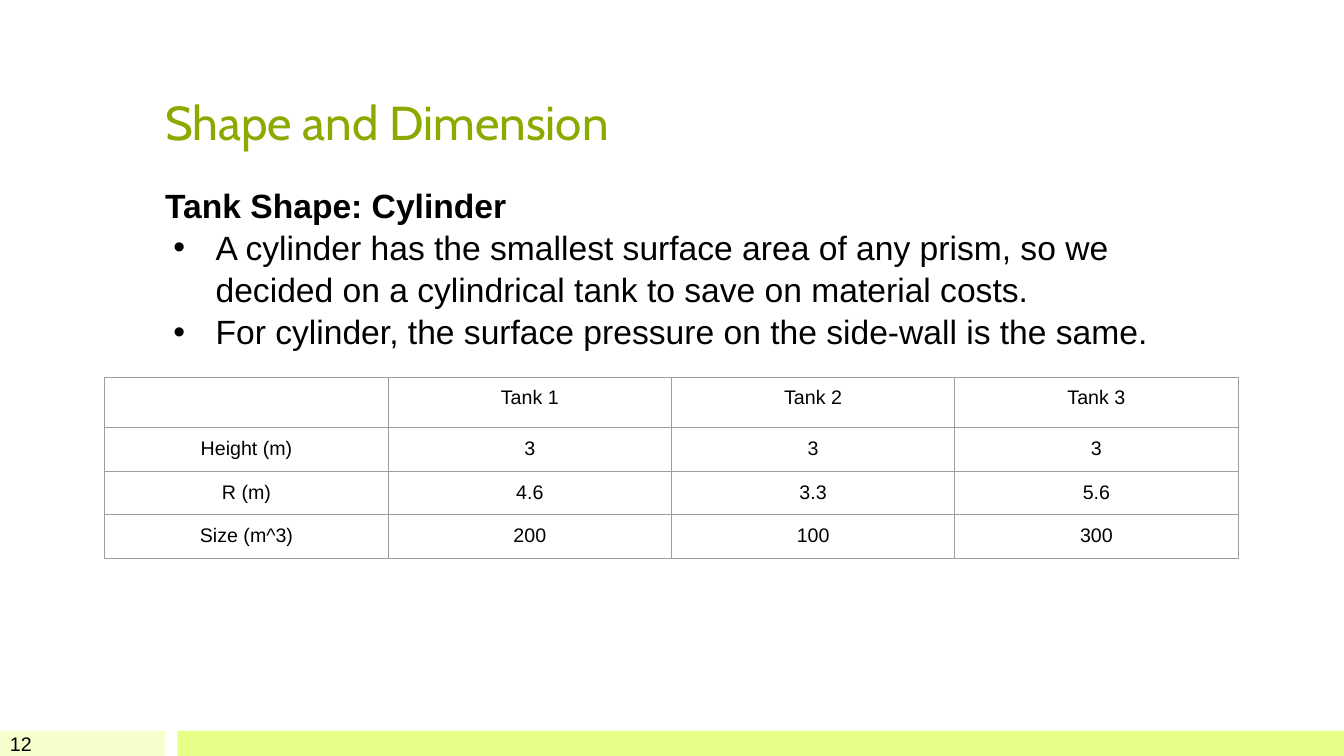
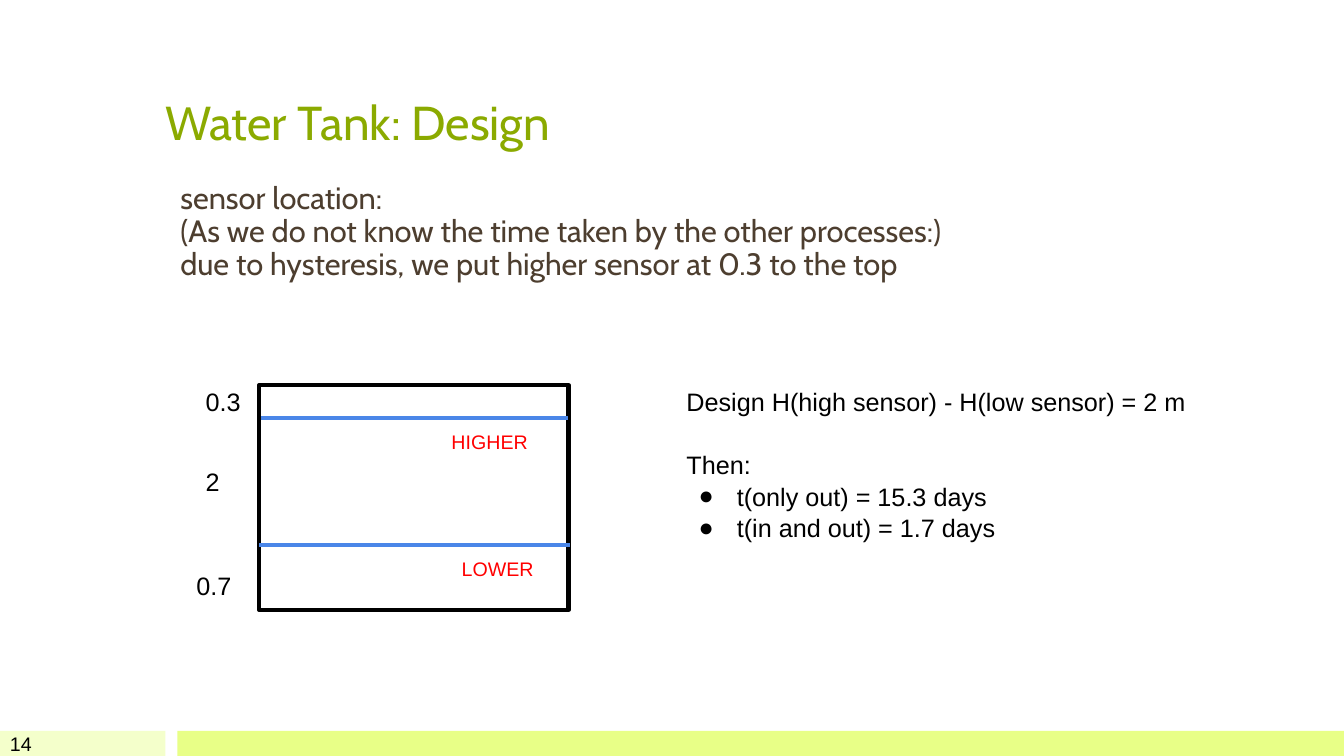
"""Builds two water tank design slides with shared bands, titles and page numbers."""
from dataclasses import dataclass

from lxml import etree
from pptx import Presentation
from pptx import util as u
from pptx.dml.color import RGBColor
from pptx.enum import shapes, text
from pptx.oxml import ns

WIDTH, HEIGHT = 13.33, 7.5
BAND_TOP, BAND_HEIGHT = 7.25, 0.25
BANDS = ((0, 1.64, "F4FFCB"), (1.76, 11.57, "E8FF87"))
GREEN, BROWN, BLACK, WHITE = "8BAA00", "4D3E2F", "000000", "FFFFFF"
BLUE, RED, GREY = "4A86E8", "FF0000", "9E9E9E"
BODY_AREA = (1.54, 1.71, 10.25, 5.05)


@dataclass(frozen=True)
class Style:
    size: float
    font: str = "Arial"
    color: str = BLACK
    spacing: float = 1.05


@dataclass(frozen=True)
class Line:
    words: str
    bullet: str = ""
    margin: float = 0
    hanging: float = 0
    bold: bool = False
    before: float = 0


@dataclass(frozen=True)
class Label:
    words: str
    area: tuple[float, float, float, float]
    style: Style


TITLE = Style(34, "Cabin", GREEN, 1)
BODY = Style(24)
INTRO = Style(22, "Cabin", BROWN, 0.9)
NOTE = Style(18)
SENSOR = Style(14, color=RED)
SMALL = Style(14, spacing=1)


def rgb(value: str) -> RGBColor:
    return RGBColor.from_string(value)


def child(parent, tag: str, **attributes: str):
    return etree.SubElement(parent, ns.qn(tag), attributes)


def style_runs(para, style: Style, bold: bool = False) -> None:
    for span in para.runs:
        span.font.size = u.Pt(style.size)
        span.font.name = style.font
        span.font.color.rgb = rgb(style.color)
        span.font.bold = bold


def add_bullet(para, line: Line) -> None:
    properties = para._p.get_or_add_pPr()
    properties.set("marL", str(u.Inches(line.margin)))
    properties.set("indent", str(u.Inches(-line.hanging)))
    if line.bullet:
        child(properties, "a:buFont", typeface="Arial")
        child(properties, "a:buChar", char=line.bullet)


def add_text(page, area, lines: list[Line], style: Style,
             anchor=text.MSO_ANCHOR.TOP, inset: float = 0.1) -> None:
    frame = page.shapes.add_textbox(*map(u.Inches, area)).text_frame
    frame.word_wrap = True
    frame.vertical_anchor = anchor
    frame.margin_left = frame.margin_right = u.Inches(0.1)
    frame.margin_top = frame.margin_bottom = u.Inches(inset)
    frame.text = "\n".join(line.words for line in lines)
    for para, line in zip(frame.paragraphs, lines):
        add_bullet(para, line)
        para.line_spacing = style.spacing
        para.space_before = u.Pt(line.before)
        style_runs(para, style, line.bold)


def add_rectangle(page, area, fill: str, outline: str = "") -> None:
    box = page.shapes.add_shape(shapes.MSO_SHAPE.RECTANGLE, *map(u.Inches, area))
    box.shadow.inherit = False
    box.fill.solid()
    box.fill.fore_color.rgb = rgb(fill)
    if outline:
        box.line.color.rgb = rgb(outline)
        box.line.width = u.Pt(3)
    else:
        box.line.fill.background()


def add_level(page, left: float, right: float, y: float) -> None:
    level = page.shapes.add_connector(
        shapes.MSO_CONNECTOR.STRAIGHT, *map(u.Inches, (left, y, right, y)))
    level.line.color.rgb = rgb(BLUE)
    level.line.width = u.Pt(3)
    child(level._element.spPr, "a:effectLst")


def add_borders(cell) -> None:
    properties = cell._tc.get_or_add_tcPr()
    for side in "LRTB":
        border = child(properties, f"a:ln{side}", w=str(u.Pt(0.75)))
        child(child(border, "a:solidFill"), "a:srgbClr", val=GREY)


def add_grid(page, left: float, top: float, column_width: float,
             row_heights: list[float], rows: list[list[str]]) -> None:
    columns = len(rows[0])
    area = (left, top, column_width * columns, sum(row_heights))
    grid = page.shapes.add_table(len(rows), columns, *map(u.Inches, area)).table
    for column in grid.columns:
        column.width = u.Inches(column_width)
    for row, height, values in zip(grid.rows, row_heights, rows):
        row.height = u.Inches(height)
        for cell, value in zip(row.cells, values):
            add_borders(cell)
            cell.fill.background()
            cell.margin_left = cell.margin_right = u.Inches(0.1)
            cell.margin_top = cell.margin_bottom = u.Inches(0.1)
            cell.text = value
            para = cell.text_frame.paragraphs[0]
            para.alignment = text.PP_ALIGN.CENTER
            style_runs(para, SMALL)


def add_page(deck, title: str, number: int):
    page = deck.slides.add_slide(deck.slide_layouts[6])
    for left, width, color in BANDS:
        add_rectangle(page, (left, BAND_TOP, width, BAND_HEIGHT), color)
    add_text(page, (1.54, 0.3, 10.25, 1.29), [Line(title)], TITLE,
             text.MSO_ANCHOR.BOTTOM)
    add_text(page, (0, BAND_TOP, 0.45, BAND_HEIGHT), [Line(str(number))], SMALL,
             text.MSO_ANCHOR.MIDDLE, 0.05)
    return page


def build_dimensions(deck) -> None:
    page = add_page(deck, "Shape and Dimension", 12)
    add_text(page, BODY_AREA, [
        Line("Tank Shape: Cylinder", bold=True),
        Line("A cylinder has the smallest surface area of any prism, so we decided "
             "on a cylindrical tank to save on material costs.", "•", 0.5, 0.42),
        Line("For cylinder, the surface pressure on the side-wall is the same.",
             "•", 0.5, 0.42),
    ], BODY)
    add_grid(page, 1.04, 3.74, 2.81, [0.49, 0.42, 0.42, 0.42], [
        ["", "Tank 1", "Tank 2", "Tank 3"],
        ["Height (m)", "3", "3", "3"],
        ["R (m)", "4.6", "3.3", "5.6"],
        ["Size (m^3)", "200", "100", "300"],
    ])


def build_design(deck) -> None:
    page = add_page(deck, "Water Tank: Design", 14)
    intro = (
        "sensor location:",
        "(As we do not know the time taken by the other processes:)",
        "due to hysteresis, we put higher sensor at 0.3 to the top",
    )
    add_text(page, BODY_AREA, [Line(words, margin=0.15) for words in intro], INTRO)
    add_rectangle(page, (2.57, 3.82, 3.07, 2.23), WHITE, BLACK)
    add_level(page, 2.59, 5.63, 4.15)
    add_level(page, 2.57, 5.65, 5.41)
    for label in (
        Label("0.3", (1.94, 3.72, 0.89, 0.74), NOTE),
        Label("2", (1.94, 4.51, 0.45, 0.63), NOTE),
        Label("0.7", (1.85, 5.54, 0.63, 0.41), NOTE),
        Label("HIGHER", (4.38, 4.15, 1.1, 0.25), SENSOR),
        Label("LOWER", (4.48, 5.41, 1.08, 0.25), SENSOR),
    ):
        add_text(page, label.area, [Line(label.words)], label.style)
    add_text(page, (6.71, 3.72, 5.24, 2.42), [
        Line("Design H(high sensor) - H(low sensor) = 2 m"),
        Line("Then:", before=22),
        Line("t(only out) = 15.3 days", "●", 0.5, 0.38),
        Line("t(in and out) = 1.7 days", "●", 0.5, 0.38),
    ], NOTE)


def main() -> None:
    deck = Presentation()
    deck.slide_width, deck.slide_height = u.Inches(WIDTH), u.Inches(HEIGHT)
    build_dimensions(deck)
    build_design(deck)
    deck.save("out.pptx")


if __name__ == "__main__":
    main()
